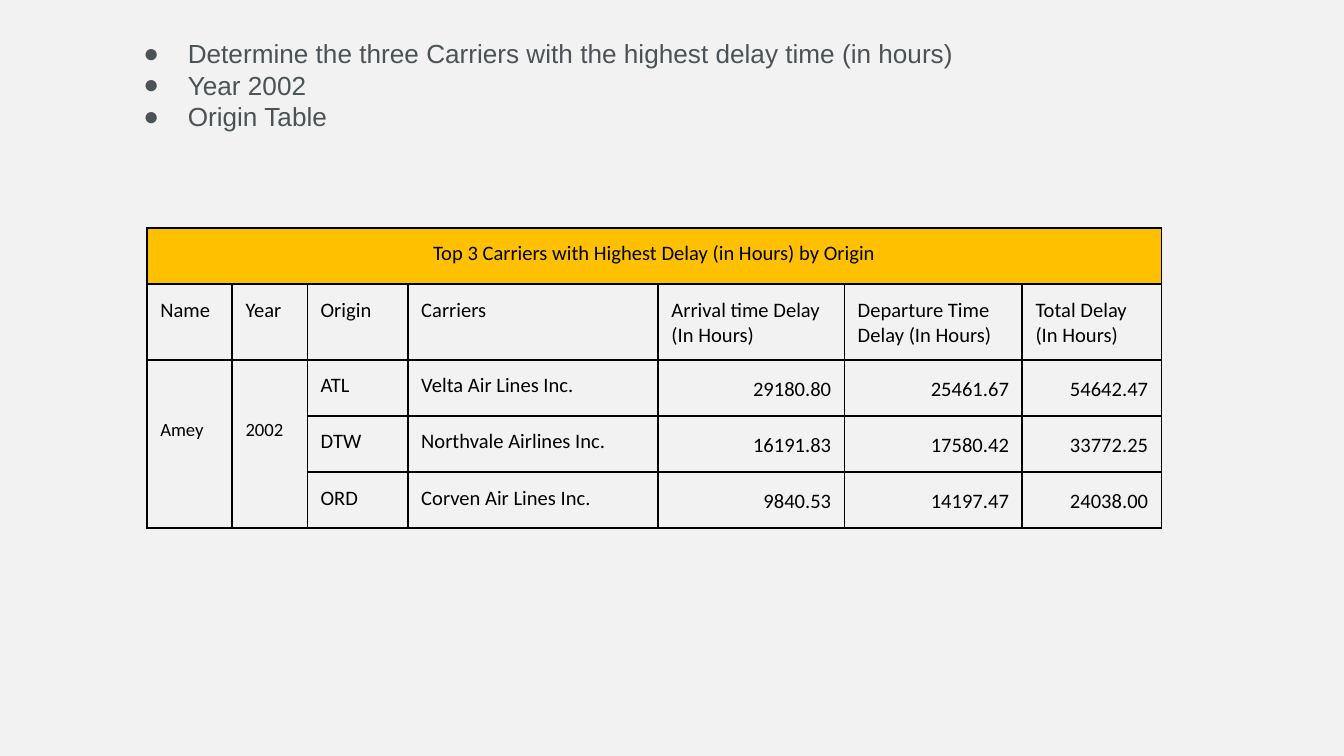
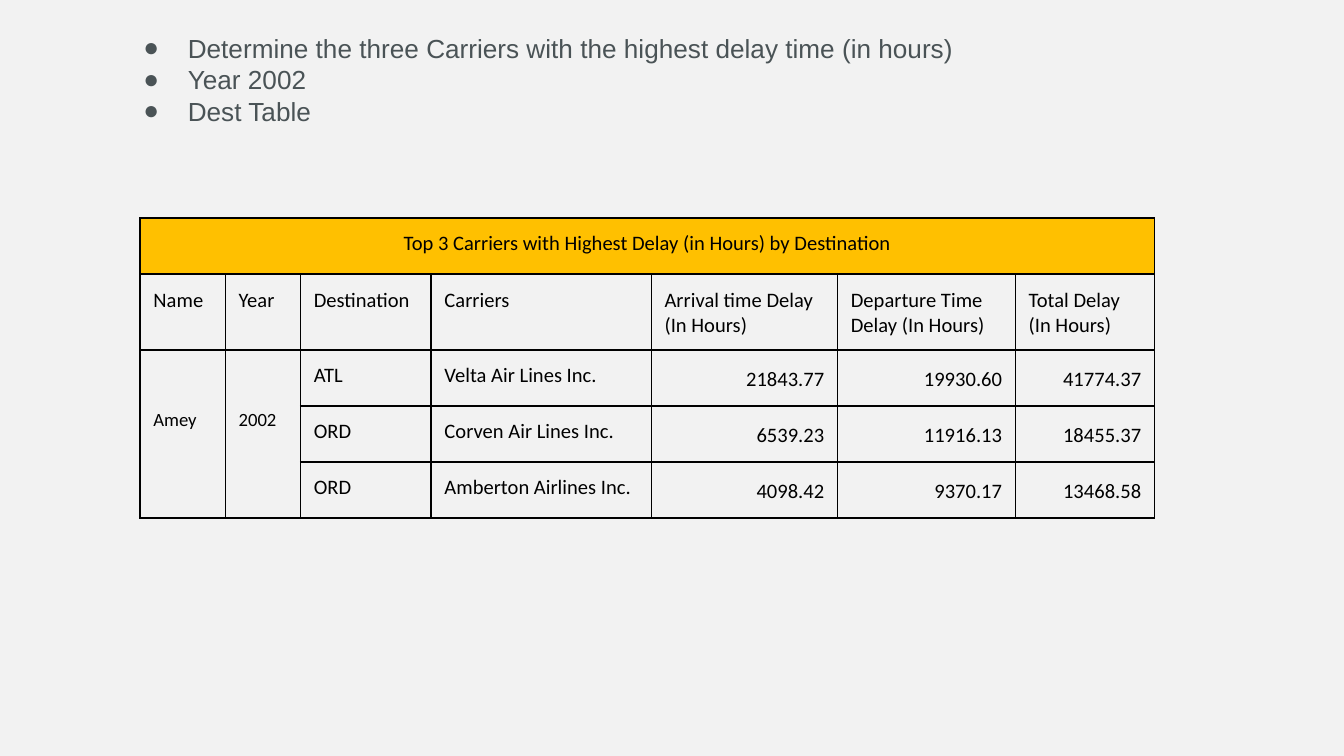
from lxml.etree import SubElement as Sub
from pptx import Presentation
from pptx.dml.color import RGBColor as RGB
from pptx.enum.text import PP_ALIGN as AL
from pptx.oxml.ns import qn
from pptx.util import Cm, Pt

COLORS = {"page": "F2F2F2", "bullet": "4A5356", "band": "FFC000", "ink": "000000"}
MARGIN = Cm(0.25)
ROW_H = 1.06
TABLE_H = 5.67
PLACE_AND_CARRIER = 6.63


def add_text(tf, text, size=11, font="Calibri", color="ink", align=AL.LEFT,
             spacing=None, bullet=False):
    p = tf.paragraphs[0]
    if p.runs:
        p = tf.add_paragraph()
    p.alignment = align
    if spacing:
        p.line_spacing = spacing
    if bullet:
        add_bullet(p, color)
    r = p.add_run()
    r.text = text
    r.font.size = Pt(size)
    r.font.name = font
    r.font.color.rgb = RGB.from_string(COLORS[color])


def add_bullet(p, color):
    pPr = p._p.get_or_add_pPr()
    pPr.set("marL", str(Cm(1.27)))
    pPr.set("indent", str(-Cm(0.84)))
    Sub(Sub(pPr, qn("a:buClr")), qn("a:srgbClr"), val=COLORS[color])
    Sub(pPr, qn("a:buFont"), typeface="Arial")
    Sub(pPr, qn("a:buChar"), char="●")


def add_borders(cell):
    tcPr = cell._tc.get_or_add_tcPr()
    for side in ("lnL", "lnR", "lnT", "lnB"):
        ln = Sub(tcPr, qn(f"a:{side}"), w=str(Pt(1)))
        Sub(Sub(ln, qn("a:solidFill")), qn("a:srgbClr"), val=COLORS["ink"])


def set_margins(box):
    box.margin_left = box.margin_right = MARGIN
    box.margin_top = box.margin_bottom = MARGIN


def add_task(s, lines, left, top, width, height):
    tf = s.shapes.add_textbox(Cm(left), Cm(top), Cm(width), Cm(height)).text_frame
    tf.word_wrap = True
    set_margins(tf)
    for line in lines:
        add_text(tf, line, size=14, font="Arial", color="bullet", bullet=True)


def add_delay_table(s, place, place_w, rows, left, top):
    widths = [1.61, 1.42, place_w, PLACE_AND_CARRIER - place_w, 3.52, 3.36, 2.63]
    headers = ["Name", "Year", place, "Carriers", "Arrival time Delay (In Hours)",
               "Departure Time Delay (In Hours)", "Total Delay (In Hours)"]
    n_rows, n_cols = len(rows) + 2, len(headers)
    sp = s.shapes.add_table(n_rows, n_cols, Cm(left), Cm(top),
                            Cm(sum(widths)), Cm(TABLE_H))
    table = sp.table
    table.first_row = table.horz_banding = False
    for column, width in zip(table.columns, widths):
        column.width = Cm(width)
    for row in table.rows:
        row.height = Cm(ROW_H)
    sp.height = Cm(TABLE_H)
    for cell in table.iter_cells():
        set_margins(cell)
        add_borders(cell)
        cell.fill.background()

    title = table.cell(0, 0)
    title.merge(table.cell(0, n_cols - 1))
    title.fill.solid()
    title.fill.fore_color.rgb = RGB.from_string(COLORS["band"])
    add_text(title.text_frame, f"Top 3 Carriers with Highest Delay (in Hours) by {place}",
             align=AL.CENTER)
    for c, header in enumerate(headers):
        add_text(table.cell(1, c).text_frame, header)
    for c, shared in enumerate(("Amey", "2002")):
        cell = table.cell(2, c)
        cell.merge(table.cell(n_rows - 1, c))
        cell.margin_top = Cm(1.12)
        add_text(cell.text_frame, shared, size=10)
    for r, (code, carrier, *delays) in enumerate(rows, 2):
        add_text(table.cell(r, 2).text_frame, code)
        add_text(table.cell(r, 3).text_frame, carrier)
        for c, delay in enumerate(delays, 4):
            add_text(table.cell(r, c).text_frame, f"{delay:.2f}",
                     align=AL.RIGHT, spacing=1.15)


def add_delay_slide(prs, source, task_top, **table):
    s = prs.slides.add_slide(prs.slide_layouts[6])
    fill = s.background.fill
    fill.solid()
    fill.fore_color.rgb = RGB.from_string(COLORS["page"])
    task = ["Determine the three Carriers with the highest delay time (in hours)",
            "Year 2002", f"{source} Table"]
    add_task(s, task, 2.03, task_top, 21.36, 2.36)
    add_delay_table(s, **table)


def main():
    prs = Presentation()
    prs.slide_width, prs.slide_height = Cm(25.4), Cm(14.29)
    add_delay_slide(prs, "Origin", 0.46, place="Origin", place_w=1.9, left=2.78, top=4.31,
                    rows=[("ATL", "Velta Air Lines Inc.", 29180.80, 25461.67, 54642.47),
                          ("DTW", "Northvale Airlines Inc.", 16191.83, 17580.42, 33772.25),
                          ("ORD", "Corven Air Lines Inc.", 9840.53, 14197.47, 24038.00)])
    add_delay_slide(prs, "Dest", 0.36, place="Destination", place_w=2.47, left=2.65, top=4.12,
                    rows=[("ATL", "Velta Air Lines Inc.", 21843.77, 19930.60, 41774.37),
                          ("ORD", "Corven Air Lines Inc.", 6539.23, 11916.13, 18455.37),
                          ("ORD", "Amberton Airlines Inc.", 4098.42, 9370.17, 13468.58)])
    prs.save("out.pptx")


if __name__ == "__main__":
    main()
